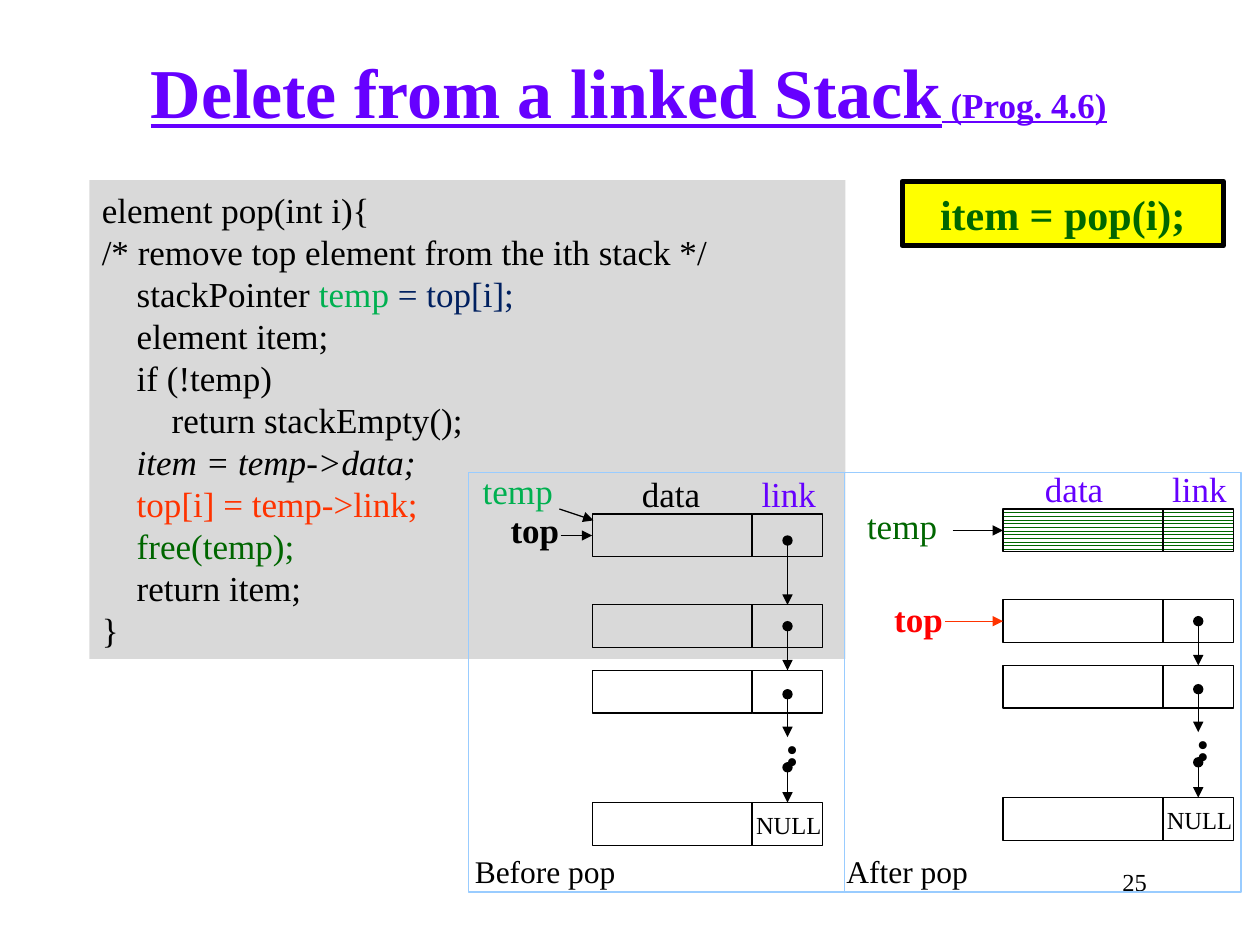
from pptx import Presentation
from pptx.dml.color import RGBColor
from pptx.enum.dml import MSO_PATTERN
from pptx.enum.shapes import MSO_CONNECTOR, MSO_SHAPE
from pptx.enum.text import MSO_ANCHOR, PP_ALIGN
from pptx.oxml.ns import qn
from pptx.util import Inches, Pt
from lxml import etree

RECT = MSO_SHAPE.RECTANGLE
LINE = MSO_CONNECTOR.STRAIGHT
ZIGZAG = MSO_PATTERN.ZIG_ZAG
LEFT, MID, RIGHT = PP_ALIGN.LEFT, PP_ALIGN.CENTER, PP_ALIGN.RIGHT
CENTER = MSO_ANCHOR.MIDDLE
FONT = "Times New Roman"
BLACK, WHITE, PURPLE, GREEN = "000000", "FFFFFF", "6600FF", "006600"
LIME, ORANGE, NAVY, RED, SKY = "00B050", "FF3300", "002060", "FF0000", "99CCFF"

TITLE = [("Delete from a linked Stack", 40), (" (Prog. 4.6)", 20)]
CODE = [
    [("element pop(int i){", BLACK)],
    [("/* remove top element from the ith stack */", BLACK)],
    [("    stackPointer ", BLACK), ("temp", LIME), (" = top[i];", NAVY)],
    [("    element item;", BLACK)],
    [("    if (!temp)", BLACK)],
    [("        return stackEmpty();", BLACK)],
    [("    item = temp->data;", BLACK, True)],
    [("    top[i] = temp->link;", ORANGE)],
    [("    free(temp);", GREEN)],
    [("    return item;", BLACK)],
    [("}", BLACK)],
]
ROWS = [0, 0.72, 1.24, 2.29]
DATA_W, LINK_W, NODE_H = 1.27, 0.56, 0.34
LINKS = [(0.21, 1), (0.89, 2), (1.43, None), (2.01, 3)]
STUB = 1.77
PANELS = [
    dict(frame=(3.72, 2.98), x=4.7, y=4.08, data=(0.29, BLACK), freed=False,
         names=[("top", 3.95, 3.98, 0.59, 0.44, BLACK, True),
                ("temp", 3.73, 3.67, 0.76, 0.44, LIME, False)],
         arrows=[(4.45, 0, BLACK)], caption=("Before pop", 3.67)),
    dict(frame=(6.7, 3.15), x=7.96, y=4.04, data=(0.23, PURPLE), freed=True,
         names=[("top", 6.79, 4.76, 1, 0.3, RED, True),
                ("temp", 6.78, 3.95, 0.76, 0.44, GREEN, False)],
         arrows=[(7.5, 1, ORANGE), (7.56, 0, BLACK)], caption=("After pop", 6.62)),
]

prs = Presentation()
prs.slide_width, prs.slide_height = Inches(10), Inches(7.5)
slide = prs.slides.add_slide(prs.slide_layouts[6])
shapes = slide.shapes


def color(code):
    return RGBColor.from_string(code)


def write(para, text, size, code, bold=False, italic=False, under=False):
    run = para.add_run()
    run.text = text
    font = run.font
    font.name, font.size = FONT, Pt(size)
    font.bold, font.italic, font.underline = bold, italic, under
    font.color.rgb = color(code)


def label(text, x, y, w, h, size=20, code=BLACK, bold=False, align=MID, wrap=False):
    box = shapes.add_textbox(*map(Inches, (x, y, w, h)))
    frame = box.text_frame
    frame.word_wrap = wrap
    para = frame.paragraphs[0]
    para.alignment = align
    write(para, text, size, code, bold)
    return frame


def rect(x, y, w, h, fill=None, line=None, width=0.75):
    box = shapes.add_shape(RECT, *map(Inches, (x, y, w, h)))
    box.shadow.inherit = False
    if fill:
        box.fill.solid()
        box.fill.fore_color.rgb = color(fill)
    else:
        box.fill.background()
    if line:
        box.line.color.rgb = color(line)
        box.line.width = Pt(width)
    else:
        box.line.fill.background()
    return box


def arrow(x1, y1, x2, y2, code=BLACK, dot=False, goal=None, side=0):
    wire = shapes.add_connector(LINE, *map(Inches, (x1, y1, x2, y2)))
    if goal is not None:
        wire.end_connect(goal, side)
    wire.line.color.rgb = color(code)
    wire.line.width = Pt(0.75)
    ln = wire.line._get_or_add_ln()
    if dot:
        etree.SubElement(ln, qn("a:headEnd"), type="oval")
    etree.SubElement(ln, qn("a:tailEnd"), type="triangle")
    etree.SubElement(wire._element.spPr, qn("a:effectLst"))


def node(x, y, freed):
    cells = [rect(x, y, DATA_W, NODE_H, line=BLACK),
             rect(x + DATA_W, y, LINK_W, NODE_H, line=BLACK)]
    if freed:
        for cell in cells:
            cell.fill.patterned()
            cell.fill.pattern = ZIGZAG
            cell.fill.fore_color.rgb = color(GREEN)
            cell.fill.back_color.rgb = color(WHITE)
    return cells


def panel(frame, x, y, data, freed, names, arrows, caption):
    rect(frame[0], 3.75, frame[1], 3.33, line=SKY)
    nodes = [node(x, y + dy, freed and dy == 0) for dy in ROWS]
    label("data", x + data[0], y - 0.38, 0.67, 0.44, code=data[1])
    label("link", x + 1.17, y - 0.38, 0.78, 0.44, code=PURPLE, wrap=True)
    label("NULL", x + 1.2, y + 2.3, 0.72, 0.33, 14)
    dots = label("..", x + 1.33, y + 1.73, 0.67, 0.3, 28, bold=True)
    dots._txBody.bodyPr.set("vert", "eaVert")
    mid = x + DATA_W + LINK_W / 2
    for start, goal in LINKS[1:] if freed else LINKS:
        end = STUB if goal is None else ROWS[goal]
        cell = None if goal is None else nodes[goal][1]
        arrow(mid, y + start, mid, y + end, dot=True, goal=cell)
    for start, row, code in arrows:
        level = y + ROWS[row] + NODE_H / 2
        arrow(start, level, x, level, code, goal=nodes[row][0], side=1)
    for text, left, top, w, h, code, bold in names:
        note = label(text, left, top, w, h, code=code, bold=bold)
        note.vertical_anchor = CENTER
    label(caption[0], caption[1], 6.71, 1.44, 0.4, 18, align=LEFT, wrap=True)


label("25", 7.12, 6.83, 2.08, 0.5, 14, align=RIGHT, wrap=True)

code_box = rect(0.71, 1.43, 6, 3.8, "D9D9D9").text_frame
code_box.word_wrap = True
for i, parts in enumerate(CODE):
    para = code_box.add_paragraph() if i else code_box.paragraphs[0]
    para.alignment = LEFT
    for text, code, *italic in parts:
        write(para, text, 20, code, italic=bool(italic))

for spec_set in PANELS:
    panel(**spec_set)
arrow(4.44, 4.04, 4.71, 4.13)

call = rect(7.16, 1.44, 2.55, 0.51, "FFFF00", BLACK, 3).text_frame
call.vertical_anchor = CENTER
call.paragraphs[0].alignment = MID
write(call.paragraphs[0], "item = pop(i);", 24, GREEN, True)

head = shapes.add_textbox(*map(Inches, (0.74, 0.35, 8.5, 0.73))).text_frame
head.word_wrap = True
head.vertical_anchor = CENTER
head.paragraphs[0].alignment = MID
for text, size in TITLE:
    write(head.paragraphs[0], text, size, PURPLE, True, under=True)

prs.save("out.pptx")
